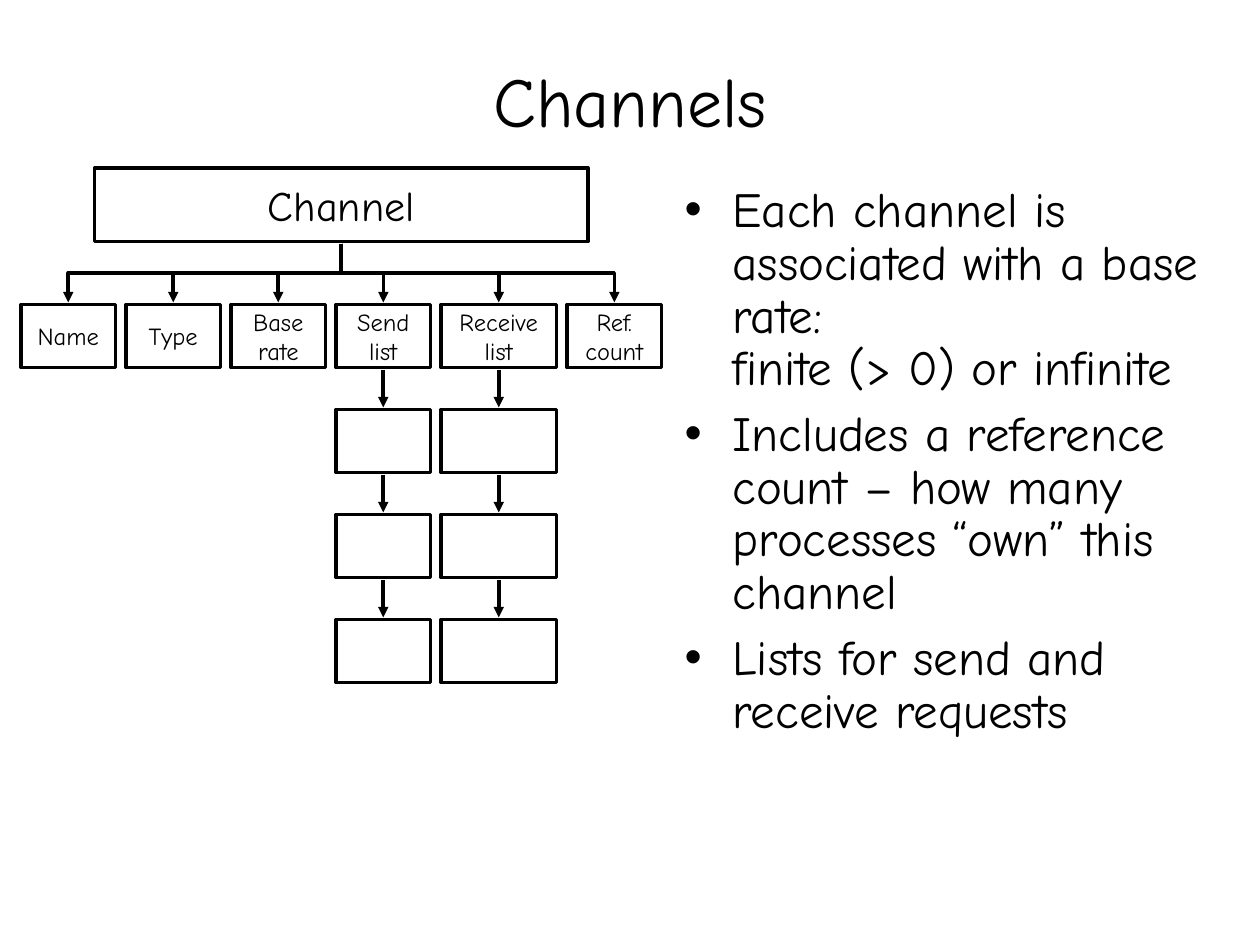
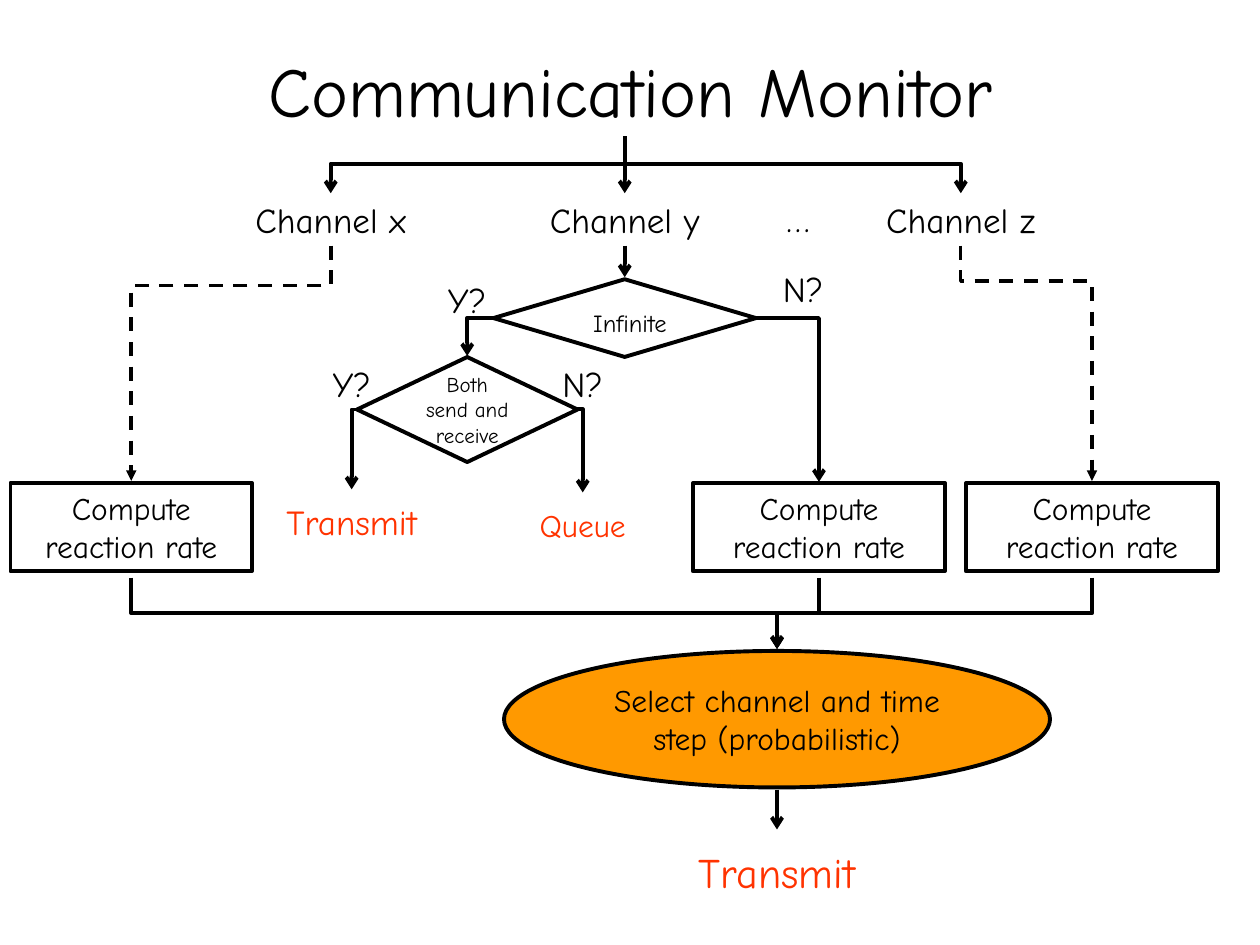
import pptx
import pptx.util
import pptx.dml.color
import pptx.enum.dml
import pptx.enum.shapes
import pptx.enum.text
import pptx.oxml
import pptx.oxml.ns

FONT = "Comic Neue"
BLACK, WHITE, RED, ORANGE = "000000", "FFFFFF", "FF3300", "FF9900"
PER_INCH = 12
SHAPE = pptx.enum.shapes.MSO_SHAPE
CONNECTOR = pptx.enum.shapes.MSO_CONNECTOR
ALIGN = pptx.enum.text.PP_ALIGN
ANCHOR = pptx.enum.text.MSO_ANCHOR
qn = pptx.oxml.ns.qn


def unit(n):
    return pptx.util.Inches(n / PER_INCH)


def place(sp, left, top, width, height):
    sp.left, sp.top, sp.width, sp.height = map(unit, (left, top, width, height))


def paint(target, color):
    if color:
        target.solid()
        target.fore_color.rgb = pptx.dml.color.RGBColor.from_string(color)
    else:
        target.background()


def write(sp, *paragraphs, size=18, color=BLACK, align=ALIGN.CENTER,
          anchor=ANCHOR.MIDDLE, wrap=True, before=0, spacing=1.0):
    tf = sp.text_frame
    tf.auto_size = pptx.enum.text.MSO_AUTO_SIZE.NONE
    tf.word_wrap = wrap
    tf.vertical_anchor = anchor
    for i, text in enumerate(paragraphs):
        p = tf.add_paragraph() if i else tf.paragraphs[0]
        p.text = text
        p.alignment = align
        p.space_before = pptx.util.Pt(before)
        p.line_spacing = spacing
        for r in p.runs:
            r.font.name = FONT
            r.font.size = pptx.util.Pt(size)
            paint(r.font.fill, color)


def add_slide(prs, layout, title, top):
    s = prs.slides.add_slide(prs.slide_layouts[layout])
    paint(s.background.fill, WHITE)
    place(s.shapes.title, 9, top, 102, 15)
    write(s.shapes.title, title, size=40)
    return s


def add_bullets(sp, items):
    place(sp, 64, 17, 52, 64)
    write(sp, *items, size=28, align=ALIGN.LEFT, anchor=ANCHOR.TOP, before=7, spacing=0.9)
    for p in sp.text_frame.paragraphs:
        pPr = p._p.get_or_add_pPr()
        pPr.set("marL", str(pptx.util.Inches(0.38)))
        pPr.set("indent", str(-pptx.util.Inches(0.38)))
        pPr.append(pptx.oxml.parse_xml(
            f'<a:buChar {pptx.oxml.ns.nsdecls("a")} char="•"/>'))


def add_node(s, box, text="", kind=SHAPE.RECTANGLE, fill=None, weight=2.25, **fmt):
    sp = s.shapes.add_shape(kind, *map(unit, box))
    sp.shadow.inherit = False
    paint(sp.fill, fill)
    paint(sp.line.fill, BLACK)
    sp.line.width = pptx.util.Pt(weight)
    if text:
        write(sp, text, **fmt)
    return sp


def add_label(s, box, text, **fmt):
    sp = s.shapes.add_textbox(*map(unit, box))
    write(sp, text, **fmt)
    return sp


def port(sp, across, down, gap=0.0):
    return ((sp.left + across * sp.width) / unit(1),
            (sp.top + down * sp.height) / unit(1) + gap)


def add_arrow(s, start, end, bend=0.5, corner=False, weight=2.25, head="arrow", dashed=False):
    (x1, y1), (x2, y2) = start, end
    dx, dy = x2 - x1, y2 - y1
    straight = abs(dx) < 0.1
    turned = not straight and not corner
    if turned:
        cx, cy = (x1 + x2) / 2, (y1 + y2) / 2
        half = dy / 2 if dx < 0 else -dy / 2
        x1, x2 = cx - half, cx + half
        y1, y2 = cy - abs(dx) / 2, cy + abs(dx) / 2
    kind = CONNECTOR.STRAIGHT if straight else CONNECTOR.ELBOW
    c = s.shapes.add_connector(kind, *map(unit, (x1, y1, x2, y2)))
    paint(c.line.fill, BLACK)
    c.line.width = pptx.util.Pt(weight)
    if dashed:
        c.line.dash_style = pptx.enum.dml.MSO_LINE.DASH
    spPr = c._element.spPr
    ns = pptx.oxml.ns.nsdecls("a")
    geom = spPr.find(qn("a:prstGeom"))
    if corner:
        geom.set("prst", "bentConnector2")
    elif turned:
        spPr.find(qn("a:xfrm")).set("rot", str((90 if dx < 0 else 270) * 60000))
        geom.find(qn("a:avLst")).append(pptx.oxml.parse_xml(
            f'<a:gd {ns} name="adj1" fmla="val {round(bend * 100000)}"/>'))
    spPr.find(qn("a:ln")).append(pptx.oxml.parse_xml(f'<a:tailEnd {ns} type="{head}"/>'))
    spPr.append(pptx.oxml.parse_xml(f"<a:effectLst {ns}/>"))


def channels_slide(prs):
    s = add_slide(prs, 1, "Channels", 2)
    add_bullets(s.placeholders[1], [
        "Each channel is associated with a base rate:\vfinite (> 0) or infinite",
        "Includes a reference count – how many processes “own” this channel",
        "Lists for send and receive requests",
    ])
    thin = {"weight": 2, "head": "triangle"}
    gap = 0.2
    channel = add_node(s, (9, 16, 47, 7), "Channel", weight=2, size=24, wrap=False, before=15)
    left = 2
    for field in ("Name", "Type", "Base rate", "Send list", "Receive list", "Ref. count"):
        width = 11 if field == "Receive list" else 9
        above = add_node(s, (left, 29, width, 6), field, weight=2, size=14, before=8.8)
        add_arrow(s, port(channel, 0.5, 1, gap), port(above, 0.5, 0, -gap), **thin)
        if field.endswith("list"):
            for row in range(3):
                entry = add_node(s, (left, 39 + 10 * row, width, 6), weight=2)
                add_arrow(s, port(above, 0.5, 1, gap), port(entry, 0.5, 0, -gap), **thin)
                above = entry
        left += width + 1


def monitor_slide(prs):
    s = add_slide(prs, 5, "Communication Monitor", 1)
    source = (59.5, 13)
    x, y, z = [add_label(s, (left, 18.4, 25, 5), f"Channel {name}", size=20)
               for left, name in ((19, "x"), (47, "y"), (79, "z"))]
    for channel in (x, y, z):
        add_arrow(s, source, port(channel, 0.5, 0), bend=0.48)
    add_label(s, (72, 18.8, 8, 4), "…", size=20, wrap=False)

    infinite = add_node(s, (47, 26.6, 25, 7.4), kind=SHAPE.FLOWCHART_DECISION, fill=WHITE)
    add_label(s, (45, 28.7, 30, 6.8), "Infinite", size=14, anchor=ANCHOR.TOP)
    both = add_node(s, (34, 34, 21, 10), "Both send and receive",
                    kind=SHAPE.FLOWCHART_DECISION, fill=WHITE, size=12)
    transmit = add_label(s, (22, 46.7, 23, 6), "Transmit", size=20, color=RED, wrap=False)
    queue = add_label(s, (44, 47, 23, 6), "Queue", color=RED, wrap=False)
    for left, top, answer in ((38, 25, "Y?"), (70, 24, "N?"), (27, 33, "Y?"), (49, 33, "N?")):
        add_label(s, (left, top, 13, 7), answer, size=20, wrap=False)

    rate_x, rate_y, rate_z = [
        add_node(s, (left, 46, width, 8.4), "Compute reaction rate", anchor=ANCHOR.TOP)
        for left, width in ((1, 23), (66, 24), (92, 24))]
    select = add_node(s, (48, 62, 52, 13), "Select channel and time step (probabilistic)",
                      kind=SHAPE.OVAL, fill=ORANGE)
    final = add_label(s, (48.5, 79, 51, 8), "Transmit", size=24, color=RED, wrap=False)

    add_arrow(s, port(y, 0.5, 1), port(infinite, 0.5, 0, -0.2))
    for decision, side, target in ((infinite, 0, both), (infinite, 1, rate_y),
                                   (both, 0, transmit), (both, 1, queue)):
        add_arrow(s, port(decision, side, 0.5), port(target, 0.5, 0, -0.1), corner=True)
    for channel, rate, bend in ((x, rate_x, 0.17), (z, rate_z, 0.15)):
        add_arrow(s, port(channel, 0.5, 1), port(rate, 0.5, 0, -0.2), bend=bend,
                  weight=2, head="triangle", dashed=True)
    for rate in (rate_x, rate_y, rate_z):
        add_arrow(s, port(rate, 0.5, 1, 0.6), port(select, 0.5, 0, -0.2))
    add_arrow(s, port(select, 0.5, 1, 0.2), port(final, 0.5, 0))


def main():
    prs = pptx.Presentation()
    prs.slide_width, prs.slide_height = unit(120), unit(90)
    channels_slide(prs)
    monitor_slide(prs)
    prs.save("out.pptx")


if __name__ == "__main__":
    main()
